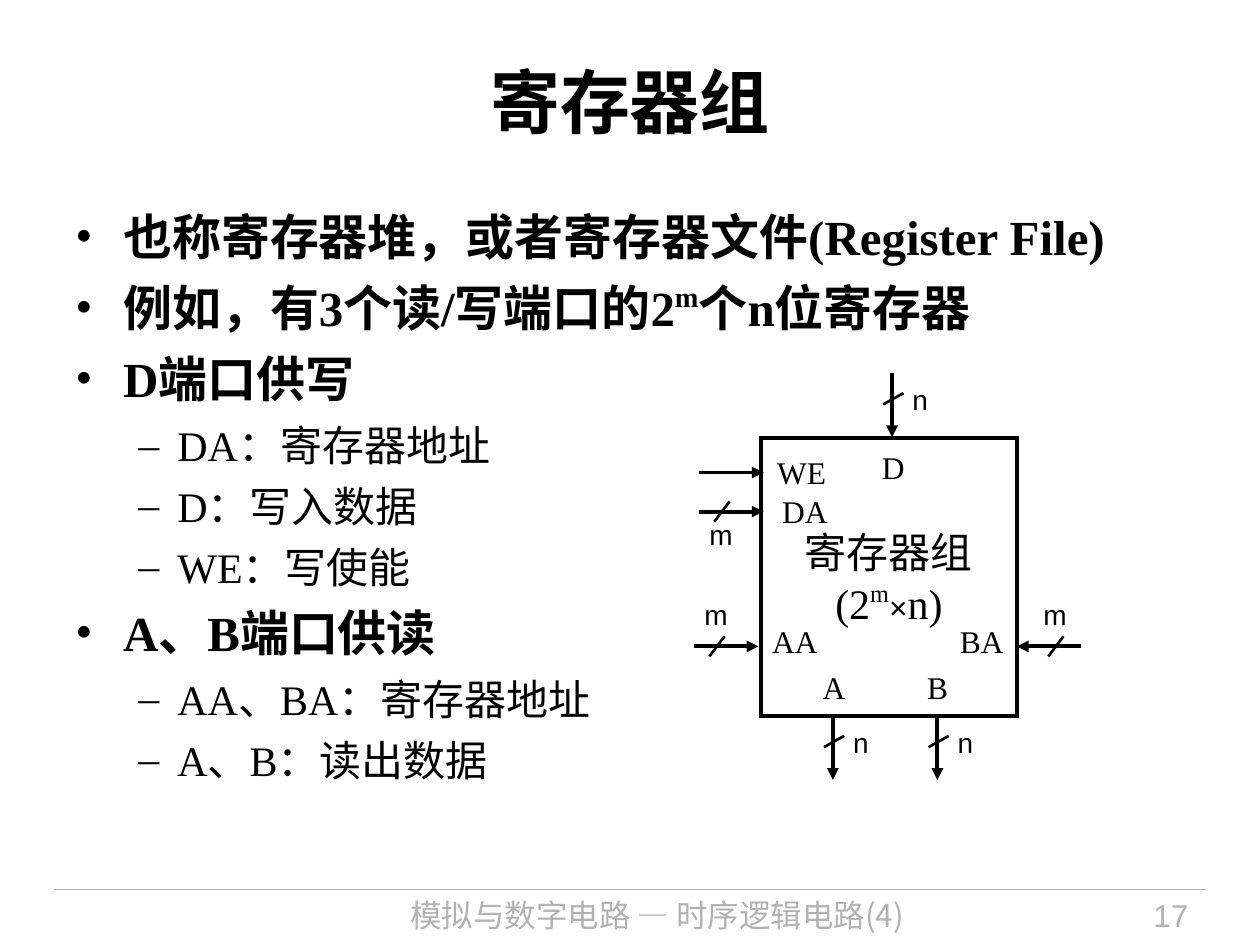
import pptx
import pptx.util
import pptx.dml.color
import pptx.enum.shapes
import pptx.enum.text
import pptx.oxml.ns
import lxml.etree

COLS, ROWS = 100, 75
BLACK, GREY = "000000", "B2B2B2"
SERIF, SANS, HAN = "Times New Roman", "Arial", "Noto Sans CJK SC"
ALIGN = pptx.enum.text.PP_ALIGN
ANCHOR = pptx.enum.text.MSO_ANCHOR


def color(code):
    return pptx.dml.color.RGBColor.from_string(code)


def add(parent, tag, **attrs):
    return lxml.etree.SubElement(parent, pptx.oxml.ns.qn(tag), **attrs)


class Deck:
    """Holds the style and the current slide; lengths are grid columns and rows."""

    def __init__(self):
        self.file = pptx.Presentation()
        self.file.slide_width = pptx.util.Inches(10)
        self.file.slide_height = pptx.util.Inches(7.5)
        self.slide = self.file.slides.add_slide(self.file.slide_layouts[6])

    def spot(self, x, y):
        return (round(self.file.slide_width * x / COLS),
                round(self.file.slide_height * y / ROWS))

    def run(self, para, text, size, font=SERIF, fill=BLACK, bold=False, raised=False):
        run = para.add_run()
        run.text = text
        run.font.size = pptx.util.Pt(size)
        run.font.name = font
        run.font.bold = bold
        run.font.color.rgb = color(fill)
        props = run.font._element
        add(props, "a:ea", typeface=HAN)
        if raised:
            props.set("baseline", "40000")

    def frame(self, shape, align, anchor=ANCHOR.TOP, wrap=True, inset=(0.1, 0.05)):
        """Set up the text area of a shape and return its first paragraph."""
        frame = shape.text_frame
        frame.word_wrap = wrap
        frame.vertical_anchor = anchor
        frame.margin_left = frame.margin_right = pptx.util.Inches(inset[0])
        frame.margin_top = frame.margin_bottom = pptx.util.Inches(inset[1])
        para = frame.paragraphs[0]
        para.alignment = align
        return para

    def text(self, x, y, w, h, text, size, align=ALIGN.CENTER, anchor=ANCHOR.TOP, **look):
        box = self.slide.shapes.add_textbox(*self.spot(x, y), *self.spot(w, h))
        self.run(self.frame(box, align, anchor), text, size, **look)

    def label(self, x, y, w, h, text, size, align=ALIGN.LEFT, font=SERIF, inset=(0.1, 0.05)):
        """Add a short text whose box grows with it."""
        box = self.slide.shapes.add_textbox(*self.spot(x, y), *self.spot(w, h))
        para = self.frame(box, align, wrap=False, inset=inset)
        box.text_frame.auto_size = pptx.enum.text.MSO_AUTO_SIZE.SHAPE_TO_FIT_TEXT
        self.run(para, text, size, font)
        return para

    def bullets(self, x, y, w, h, items):
        """Add (level, runs) items; a run is a text and whether it is raised."""
        box = self.slide.shapes.add_textbox(*self.spot(x, y), *self.spot(w, h))
        para = self.frame(box, ALIGN.LEFT)
        for i, (level, runs) in enumerate(items):
            if i:
                para = box.text_frame.add_paragraph()
            left, hang, mark, size, after = (
                (0.38, 0.38, "•", 28, 7), (0.81, 0.31, "–", 24, 6))[level]
            para.level = level
            props = para._p.get_or_add_pPr()
            props.set("marL", str(pptx.util.Inches(left)))
            props.set("indent", str(-pptx.util.Inches(hang)))
            add(add(props, "a:buClr"), "a:srgbClr", val=BLACK)
            add(props, "a:buFont", typeface=SERIF)
            add(props, "a:buChar", char=mark)
            para.space_after = pptx.util.Pt(after)
            for text, raised in runs:
                self.run(para, text, size, bold=level == 0, raised=raised)

    def block(self, x, y, w, h, lines):
        """Add an outlined box; each line is a list of (text, look) runs."""
        box = self.slide.shapes.add_shape(
            pptx.enum.shapes.MSO_SHAPE.RECTANGLE, *self.spot(x, y), *self.spot(w, h))
        box.shadow.inherit = False
        box.fill.background()
        box.line.color.rgb = color(BLACK)
        box.line.width = pptx.util.Pt(2.25)
        add(box.line._get_or_add_ln(), "a:miter", lim="800000")
        para = self.frame(box, ALIGN.CENTER, ANCHOR.MIDDLE, False, (0, 0))
        for i, line in enumerate(lines):
            if i:
                para = box.text_frame.add_paragraph()
                para.alignment = ALIGN.CENTER
            for text, look in line:
                self.run(para, text, **look)

    def line(self, x1, y1, x2, y2, width=2.25, fill=BLACK, arrow=False):
        line = self.slide.shapes.add_connector(
            pptx.enum.shapes.MSO_CONNECTOR.STRAIGHT, *self.spot(x1, y1), *self.spot(x2, y2))
        line.line.color.rgb = color(fill)
        line.line.width = pptx.util.Pt(width)
        if arrow:
            add(line.line._get_or_add_ln(), "a:tailEnd", type="triangle")
        add(line._element.spPr, "a:effectLst")

    def width(self, x, y, text, w):
        """Add the bus width beside a slashed arrow."""
        para = self.label(x, y, w, 2.4, text, 16, font=SANS, inset=(0, 0))
        para.line_spacing = 0.9

    def down(self, x, y):
        """Add a downward bus that is n bits wide."""
        self.line(x, y, x, y + 5.1, arrow=True)
        self.line(x + 0.9, y + 1.6, x - 0.7, y + 2.5, 1.5)
        self.width(x + 1.6, y + 1.05, "n", 1.2)

    def across(self, x, y, end, slash, rise):
        """Add a level bus that is m bits wide, its slash centred at one column."""
        self.line(x, y, end, y, arrow=True)
        self.line(slash + 0.6, y - 0.8, slash - 0.6, y + 0.8, 1.5)
        self.width(slash - 1, y + rise, "m", 1.9)


def main():
    deck = Deck()
    deck.line(4.3, 70.6, 95.7, 70.6, 0.75, GREY)
    deck.text(24, 70.6, 56.3, 4.4, "模拟与数字电路 — 时序逻辑电路(4)", 18, font=HAN, fill=GREY)
    deck.text(82, 70.6, 13.3, 4.4, "17", 18, ALIGN.RIGHT, font=SANS, fill=GREY)
    deck.text(5, 1.7, 90, 12.5, "寄存器组", 40, anchor=ANCHOR.MIDDLE, bold=True)

    deck.bullets(5, 15.9, 90.3, 54.7, [
        (0, [("也称寄存器堆，或者寄存器文件(Register File)", False)]),
        (0, [("例如，有3个读/写端口的2", False), ("m", True), ("个n位寄存器", False)]),
        (0, [("D端口供写", False)]),
        (1, [("DA：寄存器地址", False)]),
        (1, [("D：写入数据", False)]),
        (1, [("WE：写使能", False)]),
        (0, [("A、B端口供读", False)]),
        (1, [("AA、BA：寄存器地址", False)]),
        (1, [("A、B：读出数据", False)]),
    ])

    large = dict(size=24)
    deck.block(60.4, 34.8, 20.3, 22, [
        [("寄存器组", large)],
        [("(2", large), ("m", dict(size=24, raised=True)),
         ("×", dict(size=18, font=SANS)), ("n)", large)],
    ])
    for name, x, y, w in (("A", 64.3, 52.5, 3.8), ("B", 72.6, 52.5, 3.6),
                          ("D", 69, 35.1, 3.8)):
        deck.label(x, y, w, 4, name, 18, ALIGN.CENTER)
    for name, x, y, w in (("DA", 61.1, 38.6, 5.6), ("AA", 60.3, 48.9, 5.6),
                          ("BA", 75.2, 48.9, 5.5), ("WE", 60.7, 35.5, 5.9)):
        deck.label(x, y, w, 4, name, 18)

    for x, y in ((74.4, 56.8), (66.1, 56.8), (70.8, 29.6)):
        deck.down(x, y)
    deck.across(85.8, 51.3, 80.7, 83.8, -3.6)
    deck.across(55.1, 51.3, 60.2, 56.9, -3.6)
    deck.across(55.5, 40.6, 60.6, 57.3, 0.8)
    deck.line(55.5, 37.5, 60.6, 37.5, arrow=True)

    deck.file.save("out.pptx")


if __name__ == "__main__":
    main()
